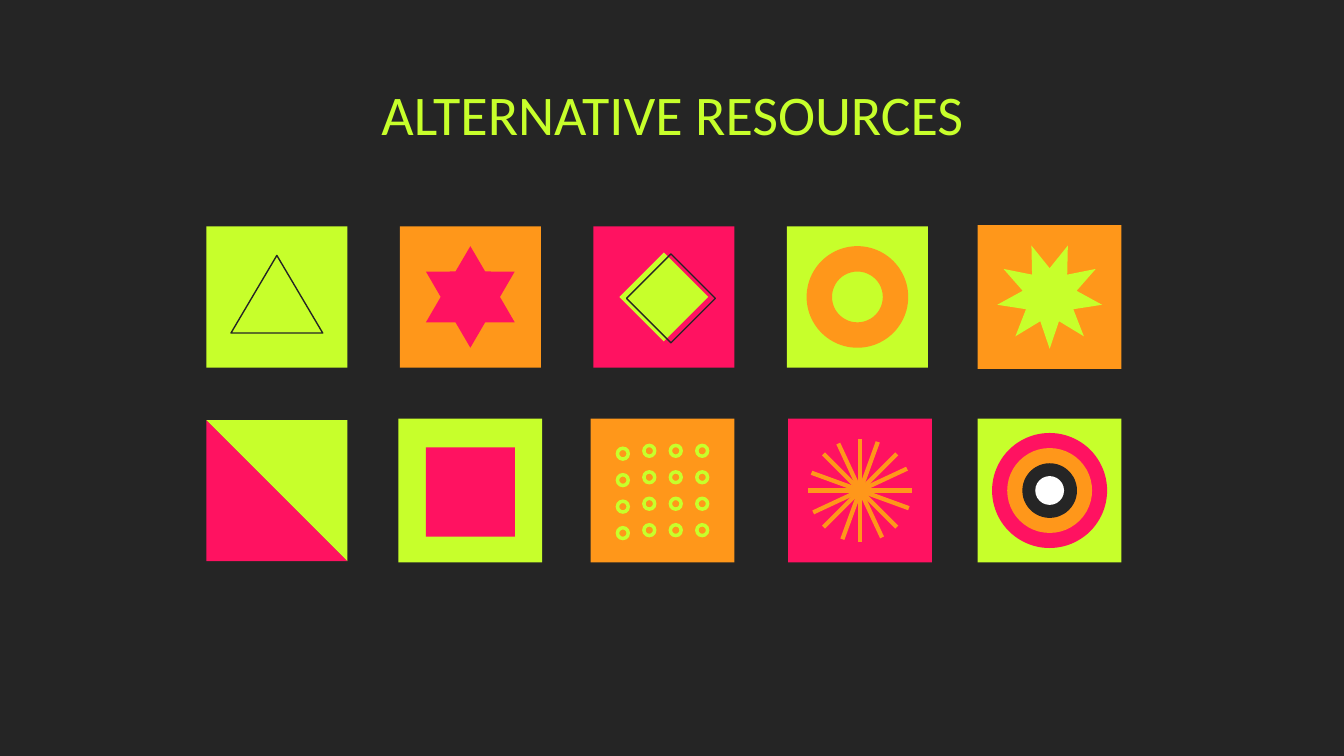
import math

import pptx
import pptx.dml.color
import pptx.enum.shapes
import pptx.enum.text
import pptx.util

RGBColor = pptx.dml.color.RGBColor
PRESET = pptx.enum.shapes.MSO_SHAPE
Inches = pptx.util.Inches

DARK = RGBColor(0x25, 0x25, 0x25)
LIME = RGBColor(0xC7, 0xFF, 0x2B)
ORANGE = RGBColor(0xFF, 0x97, 0x1A)
PINK = RGBColor(0xFF, 0x12, 0x61)
WHITE = RGBColor(0xFF, 0xFF, 0xFF)

# Slide of 16 to 9, and the grid of tile centres, in inches
SLIDE_WIDTH = 10
SLIDE_HEIGHT = SLIDE_WIDTH * 9 / 16
FIRST_X, COLUMN_PITCH = 2.06, 1.44
ROW_Y = (2.21, 3.65)


def paint(shape, fill=None, line=None):
    shape.shadow.inherit = False
    if fill is None:
        shape.fill.background()
    else:
        shape.fill.solid()
        shape.fill.fore_color.rgb = fill
    if line is None:
        shape.line.fill.background()
    else:
        shape.line.color.rgb = line
        shape.line.width = pptx.util.Pt(0.75)


# A box is (centre x, centre y, side); sizes and offsets are shares of its side
def place(shapes, preset, box, width, height, fill=None, line=None, dx=0, dy=0):
    x, y, side = box
    shape = shapes.add_shape(
        preset,
        Inches(x + (dx - width / 2) * side), Inches(y + (dy - height / 2) * side),
        Inches(width * side), Inches(height * side))
    paint(shape, fill, line)
    return shape


def place_polygon(shapes, box, points, fill):
    x, y, side = box
    corners = [(Inches(x + px * side), Inches(y + py * side)) for px, py in points]
    builder = shapes.build_freeform(*corners[0], scale=1.0)
    builder.add_line_segments(corners[1:], close=True)
    paint(builder.convert_to_shape(), fill)


# Motifs
def triangle(shapes, box):
    place(shapes, PRESET.ISOSCELES_TRIANGLE, box, 0.65, 0.55, line=DARK, dy=-0.02)


def six_point_star(shapes, box):
    place(shapes, PRESET.STAR_6_POINT, box, 0.63, 0.72, PINK)


def diamonds(shapes, box):
    place(shapes, PRESET.DIAMOND, box, 0.63, 0.63, LIME)
    place(shapes, PRESET.DIAMOND, box, 0.63, 0.63, line=DARK, dx=0.05, dy=0.01)


def ring(shapes, box):
    place(shapes, PRESET.DONUT, box, 0.72, 0.72, ORANGE)


def nine_point_star(shapes, box):
    points = []
    for step in range(18):
        radius = 0.19 if step % 2 else 0.37
        angle = math.radians(90 + 20 * step)
        points.append((radius * math.cos(angle), radius * math.sin(angle) - 0.01))
    place_polygon(shapes, box, points, LIME)


def half_triangles(shapes, box):
    for fill, rotation in ((PINK, 0), (LIME, 180)):
        place(shapes, PRESET.RIGHT_TRIANGLE, box, 1, 1, fill).rotation = rotation


def inner_square(shapes, box):
    place(shapes, PRESET.RECTANGLE, box, 0.62, 0.62, PINK, dy=0.01)


def ring_grid(shapes, box):
    pitch = 0.184
    for row in range(4):
        for column in range(4):
            drop = 0.02 if column == 0 else 0
            place(shapes, PRESET.DONUT, box, 0.1, 0.1, LIME,
                  dx=(column - 1.5) * pitch, dy=(row - 1.5) * pitch + drop)


def rays(shapes, box):
    length, width = 0.36, 0.015
    for degrees in (0, 20, 45, 65, 90, 110, 135, 155):
        cosine = math.cos(math.radians(degrees))
        sine = math.sin(math.radians(degrees))
        points = [(along * cosine - across * sine, along * sine + across * cosine)
                  for along, across in ((-length, -width), (length, -width),
                                        (length, width), (-length, width))]
        place_polygon(shapes, box, points, ORANGE)


def target(shapes, box):
    for size, fill in ((0.8, PINK), (0.59, ORANGE), (0.38, DARK), (0.2, WHITE)):
        place(shapes, PRESET.OVAL, box, size, size, fill)


# Each tile: background, motif, side, shift to the right
TILES = (
    ((LIME, triangle, 1.05, 0), (ORANGE, six_point_star, 1.05, 0),
     (PINK, diamonds, 1.05, 0), (LIME, ring, 1.05, 0),
     (ORANGE, nine_point_star, 1.07, -0.01)),
    ((None, half_triangles, 1.05, 0), (LIME, inner_square, 1.07, 0),
     (ORANGE, ring_grid, 1.07, -0.01), (PINK, rays, 1.07, 0.02),
     (LIME, target, 1.07, -0.01)),
)


def add_tile(slide, box, background, motif):
    shapes = slide.shapes.add_group_shape().shapes
    if background is not None:
        place(shapes, PRESET.RECTANGLE, box, 1, 1, background)
    motif(shapes, box)


def add_title(slide, left, top, width, height):
    text_box = slide.shapes.add_textbox(*map(Inches, (left, top, width, height)))
    frame = text_box.text_frame
    margins = dict.fromkeys(
        ("margin_left", "margin_top", "margin_right", "margin_bottom"), Inches(0.1))
    for name, value in {"word_wrap": True, **margins}.items():
        setattr(frame, name, value)
    paragraph = frame.paragraphs[0]
    paragraph.text = "ALTERNATIVE RESOURCES"
    paragraph.alignment = pptx.enum.text.PP_ALIGN.CENTER
    for name, value in {"name": "Calibri", "size": pptx.util.Pt(30)}.items():
        setattr(paragraph.font, name, value)
    paragraph.font.color.rgb = LIME


def main():
    presentation = pptx.Presentation()
    presentation.slide_width = Inches(SLIDE_WIDTH)
    presentation.slide_height = Inches(SLIDE_HEIGHT)
    slide = presentation.slides.add_slide(presentation.slide_layouts[6])
    slide.background.fill.solid()
    slide.background.fill.fore_color.rgb = DARK

    add_title(slide, 0.79, 0.49, 8.43, 0.63)
    for y, row in zip(ROW_Y, TILES):
        for column, (background, motif, side, shift) in enumerate(row):
            box = (FIRST_X + column * COLUMN_PITCH + shift, y, side)
            add_tile(slide, box, background, motif)
    presentation.save("out.pptx")


if __name__ == "__main__":
    main()
